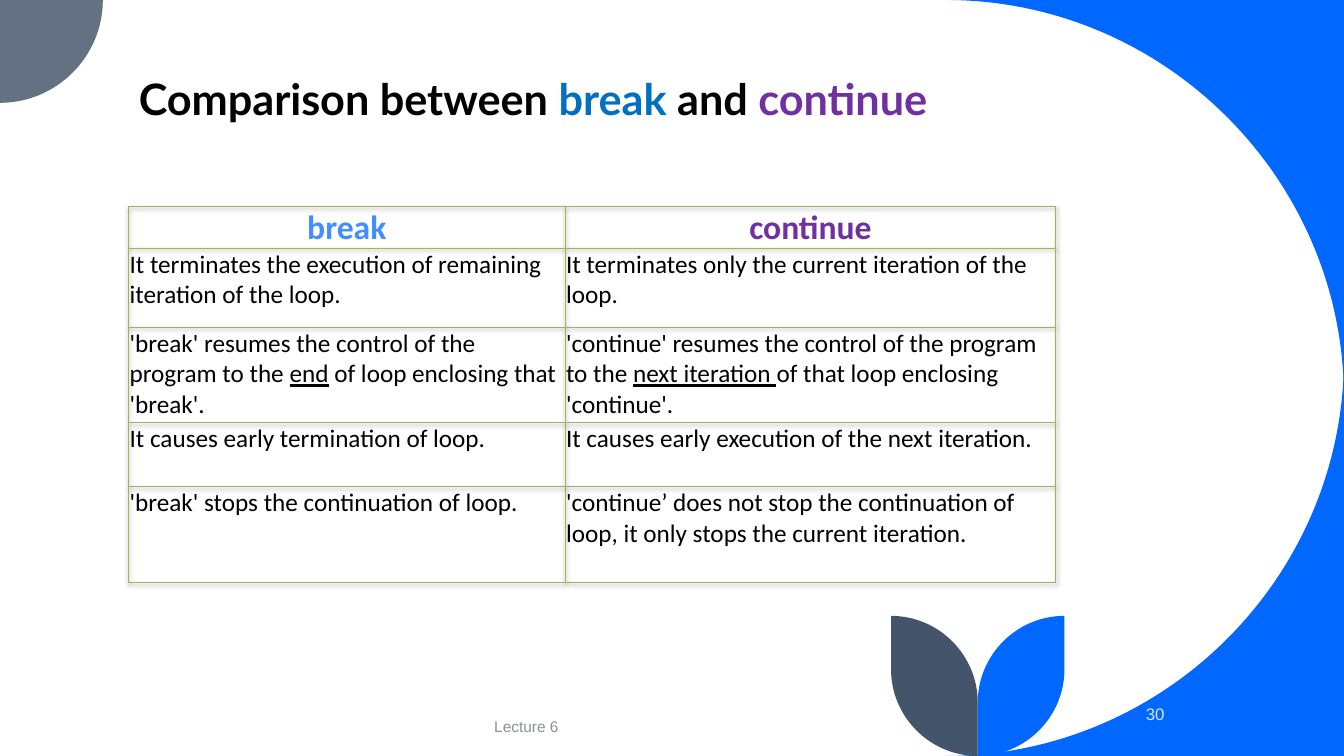
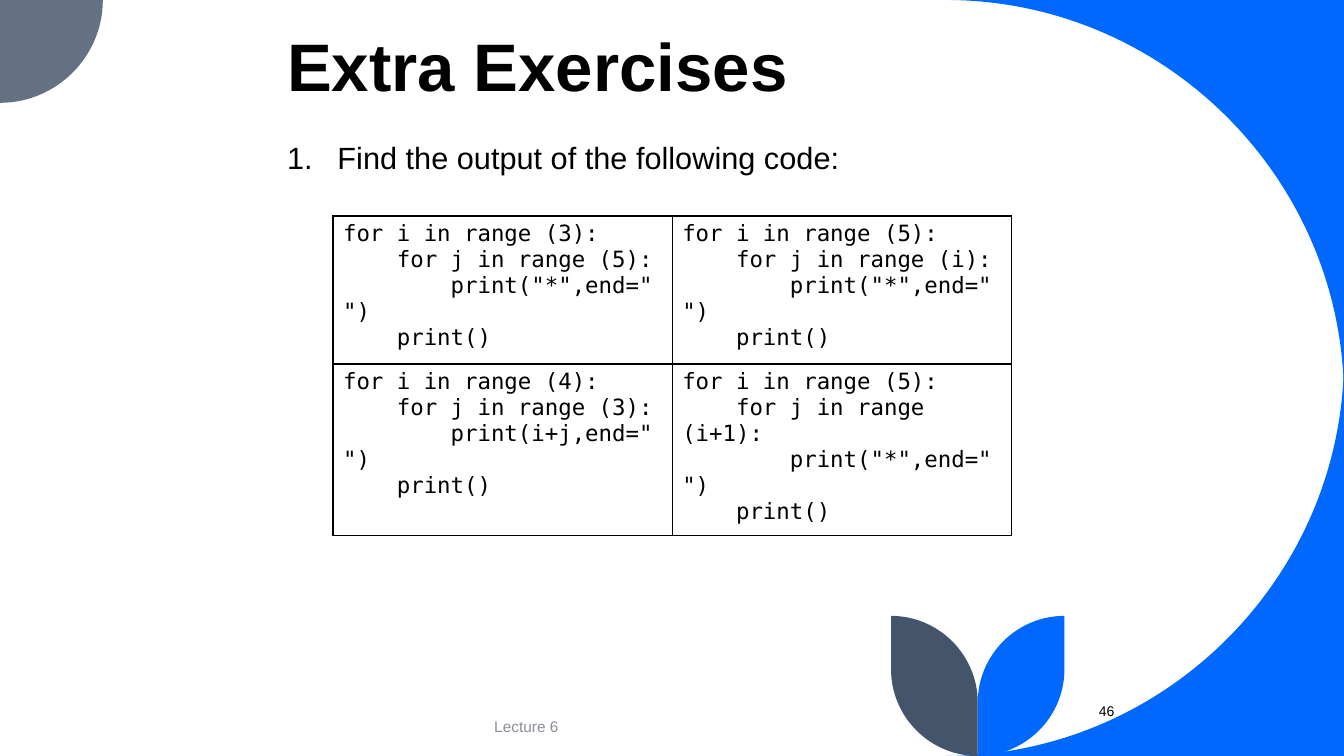
from lxml import etree
from pptx import Presentation, util as u
from pptx.dml.color import RGBColor
from pptx.enum import text
from pptx.oxml.ns import qn

WIDTH, HEIGHT = u.Inches(13.333), u.Inches(7.5)
BLUE, SLATE, NAVY = "0068FF", "637183", "44546A"
BLACK, WHITE, PURPLE, GREY = "000000", "FFFFFF", "7030A0", "8C8F9A"
PLAIN_TABLE = "{2D5ABB26-0587-4C30-8999-92F81FD0307C}"
LEFT, CENTER, RIGHT = text.PP_ALIGN.LEFT, text.PP_ALIGN.CENTER, text.PP_ALIGN.RIGHT
TOP, MIDDLE, BOTTOM = text.MSO_ANCHOR.TOP, text.MSO_ANCHOR.MIDDLE, text.MSO_ANCHOR.BOTTOM


def colour(hex_code):
    """Turn a hex string into a colour."""
    return RGBColor.from_string(hex_code)


def place(box):
    """Turn percentages of the slide into left, top, width and height."""
    return [round(share * side / 100) for share, side in zip(box, (WIDTH, HEIGHT) * 2)]


def add(parent, tag, **attributes):
    """Append a drawing element and return it."""
    return etree.SubElement(parent, qn(tag), attributes)


def write(paragraph, runs, size, font, ink=BLACK, bold=False, align=LEFT):
    """Fill a paragraph with (text, colour, underline) runs in one style."""
    paragraph.alignment = align
    style = paragraph.font
    style.size, style.name, style.bold = u.Pt(size), font, bold
    style.color.rgb = colour(ink)
    for words, run_ink, underline in runs:
        run = paragraph.add_run()
        run.text = words
        run.font.size, run.font.name, run.font.bold = u.Pt(size), font, bold
        run.font.color.rgb = colour(run_ink or ink)
        if underline:
            run.font.underline = True


def plain(words):
    """Wrap words as a single unstyled run."""
    return [(words, None, False)]


def quarter(start, corner, end):
    """Give the two handles and the end of a quarter circle around a corner."""
    def toward(point):
        return tuple(p + 0.55 * (c - p) for p, c in zip(point, corner))
    return [toward(start), toward(end), end]


def draw_outline(slide, start, steps, fill):
    """Draw a filled outline whose steps are lines (1 point) or curves (3 points)."""
    first, *rest = [(round(x * HEIGHT / 100), round(y * HEIGHT / 100))
                    for x, y in [start] + [point for step in steps for point in step]]
    builder = slide.shapes.build_freeform(*first, scale=1.0)
    builder.add_line_segments(rest, close=True)
    art = builder.convert_to_shape()
    art.shadow.inherit = False
    art.fill.solid()
    art.fill.fore_color.rgb = colour(fill)
    art.line.fill.background()
    lines = iter(art.element.findall(".//" + qn("a:lnTo")))
    for step in steps:
        segments = [next(lines) for _ in step]
        if len(step) == 3:
            curve = etree.Element(qn("a:cubicBezTo"))
            segments[0].addprevious(curve)
            for segment in segments:
                curve.append(segment[0])
                segment.getparent().remove(segment)
    return art


def decorate(slide, layout):
    """Draw the corners and leaves, in percent of the height, on the layout."""
    right, sweep, dot = 100 * WIDTH / HEIGHT, 52.67, 13.6
    stem, leaf, leaf_top = 129.33, 11.47, 81.47
    center, low = right - sweep, 100 - sweep
    outlines = [
        ((right, 0), [[(center, 0)], quarter((center, 0), (right, 0), (right, sweep))], BLUE),
        ((right, 100), [[(right, low)],
                        quarter((right, low), (right, 100), (center, 100))], BLUE),
        ((0, 0), [[(dot, 0)], quarter((dot, 0), (dot, dot), (0, dot))], SLATE),
    ]
    for tip, fill in ((stem + leaf, BLUE), (stem - leaf, NAVY)):
        outlines.append(((tip, leaf_top), [
            [(tip, 100 - leaf)], quarter((tip, 100 - leaf), (tip, 100), (stem, 100)),
            [(stem, leaf_top + leaf)],
            quarter((stem, leaf_top + leaf), (stem, leaf_top), (tip, leaf_top))], fill))
    for start, steps, fill in outlines:
        layout.shapes.element.append(draw_outline(slide, start, steps, fill).element)


def set_title(slide, box, runs, size, font, anchor):
    """Move and format the title placeholder."""
    title = slide.shapes.title
    title.left, title.top, title.width, title.height = place(box)
    frame = title.text_frame
    frame.auto_size, frame.word_wrap = text.MSO_AUTO_SIZE.NONE, True
    frame.vertical_anchor = anchor
    frame.paragraphs[0].line_spacing = 0.9
    write(frame.paragraphs[0], runs, size, font, bold=True)


def add_text(slide, box, words, size, ink, align=LEFT, anchor=MIDDLE):
    """Add a wrapped line of Arial text and return its paragraph."""
    frame = slide.shapes.add_textbox(*place(box)).text_frame
    frame.word_wrap = True
    frame.vertical_anchor = anchor
    write(frame.paragraphs[0], plain(words), size, "Arial", ink, align=align)
    return frame.paragraphs[0]


def add_footer(slide, number, box, size, ink):
    """Add the lecture name and the page number."""
    add_text(slide, (17.8, 93.4, 42.75, 5.33), "Lecture 6", 11, GREY, CENTER)
    add_text(slide, box, number, size, ink, RIGHT)


def add_grid(slide, box, columns, rows, border, weight):
    """Add an unstyled, bordered table sized by column and row weights."""
    left, top, width, height = place(box)
    table = slide.shapes.add_table(len(rows), len(columns), left, top, width, height).table
    table.first_row = table.horz_banding = False
    table._tbl.tblPr.find(qn("a:tableStyleId")).text = PLAIN_TABLE
    for column, share in zip(table.columns, columns):
        column.width = round(width * share / sum(columns))
    for row, share in zip(table.rows, rows):
        row.height = round(height * share / sum(rows))
    for cell in table.iter_cells():
        properties = cell._tc.get_or_add_tcPr()
        for edge in ("a:lnL", "a:lnR", "a:lnT", "a:lnB"):
            line = add(properties, edge, w=str(u.Pt(weight)))
            add(add(line, "a:solidFill"), "a:srgbClr", val=border)
        cell.fill.background()
    return table


def add_table_shadow(table):
    """Cast a soft shadow below the table's lines."""
    effects = etree.Element(qn("a:effectLst"))
    shadow = add(effects, "a:outerShdw", blurRad="40000", dist="20000", dir="5400000")
    add(add(shadow, "a:srgbClr", val=BLACK), "a:alpha", val="38000")
    table._tbl.tblPr.insert(0, effects)


def comparison_slide(slide):
    """Compare break and continue in a two-column table."""
    set_title(slide, (9.58, 2, 80.2, 22.93), [
        ("Comparison between ", None, False), ("break ", "0070C0", False),
        ("and ", None, False), ("continue", PURPLE, False)], 30.9, "Lato", MIDDLE)
    add_footer(slide, "30", (81.68, 91.8, 5.7, 5.33), 12, "DAE5EF")
    rows = [
        ([("break", "408EFF", False)], [("continue", PURPLE, False)]),
        (plain("It terminates the execution of remaining iteration of the loop."),
         plain("It terminates only the current iteration of the loop.")),
        ([("'break' resumes the control of the program to the ", None, False),
          ("end", None, True), (" of loop enclosing that 'break'.", None, False)],
         [("'continue' resumes the control of the program to the ", None, False),
          ("next iteration ", None, True),
          ("of that loop enclosing 'continue'.", None, False)]),
        (plain("It causes early termination of loop."),
         plain("It causes early execution of the next iteration.")),
        (plain("'break' stops the continuation of loop."),
         plain("'continue’ does not stop the continuation of loop, "
               "it only stops the current iteration.")),
    ]
    table = add_grid(slide, (9.57, 27.36, 69, 49.7), (4.33, 4.87),
                     (0.41, 0.78, 0.95, 0.63, 0.95), "98B955", 0.75)
    add_table_shadow(table)
    for r, row in enumerate(rows):
        heading = r == 0
        for c, runs in enumerate(row):
            cell = table.cell(r, c)
            cell.margin_left = cell.margin_right = cell.margin_top = u.Inches(0.01)
            cell.margin_bottom = 0
            cell.vertical_anchor = MIDDLE if heading else TOP
            write(cell.text_frame.paragraphs[0], runs, 24 if heading else 18, "Calibri",
                  bold=heading, align=CENTER if heading else LEFT)


def exercise_slide(slide):
    """Ask for the output of four nested loops."""
    set_title(slide, (20.62, 2.13, 63, 12.53), plain("Extra Exercises"), 48, "Arial", BOTTOM)
    add_footer(slide, "46", (80.13, 91.4, 3.53, 5.33), 10, BLACK)
    question = add_text(slide, (20.62, 17.73, 63, 6.27),
                        "Find the output of the following code:", 21.9, BLACK,
                        text.PP_ALIGN.JUSTIFY, TOP)
    properties = question._p.get_or_add_pPr()
    indent = u.Inches(0.5)
    properties.set("marL", str(indent))
    properties.set("indent", str(-indent))
    numbering = etree.Element(qn("a:buAutoNum"), type="arabicPeriod")
    properties.insert(0, numbering)
    loops = [("3", "5", '"*"'), ("5", "i", '"*"'), ("4", "3", "i+j"), ("5", "i+1", '"*"')]
    table = add_grid(slide, (24.78, 28.56, 50.48, 39.73), (1, 1), (1.47, 1.51), BLACK, 1)
    for cell, (outer, inner, shown) in zip(table.iter_cells(), loops):
        cell.fill.solid()
        cell.fill.fore_color.rgb = colour(WHITE)
        code = (f"for i in range ({outer}):", f"    for j in range ({inner}):",
                f'        print({shown},end=" ")', "    print()")
        frame = cell.text_frame
        for n, line in enumerate(code):
            paragraph = frame.add_paragraph() if n else frame.paragraphs[0]
            write(paragraph, plain(line), 16, "DejaVu Sans Mono")


def main():
    """Build and save the presentation."""
    deck = Presentation()
    deck.slide_width, deck.slide_height = WIDTH, HEIGHT
    layout = deck.slide_layouts[5]
    comparison, exercise = (deck.slides.add_slide(layout) for _ in range(2))
    decorate(comparison, layout)
    comparison_slide(comparison)
    exercise_slide(exercise)
    deck.save("out.pptx")


if __name__ == "__main__":
    main()
